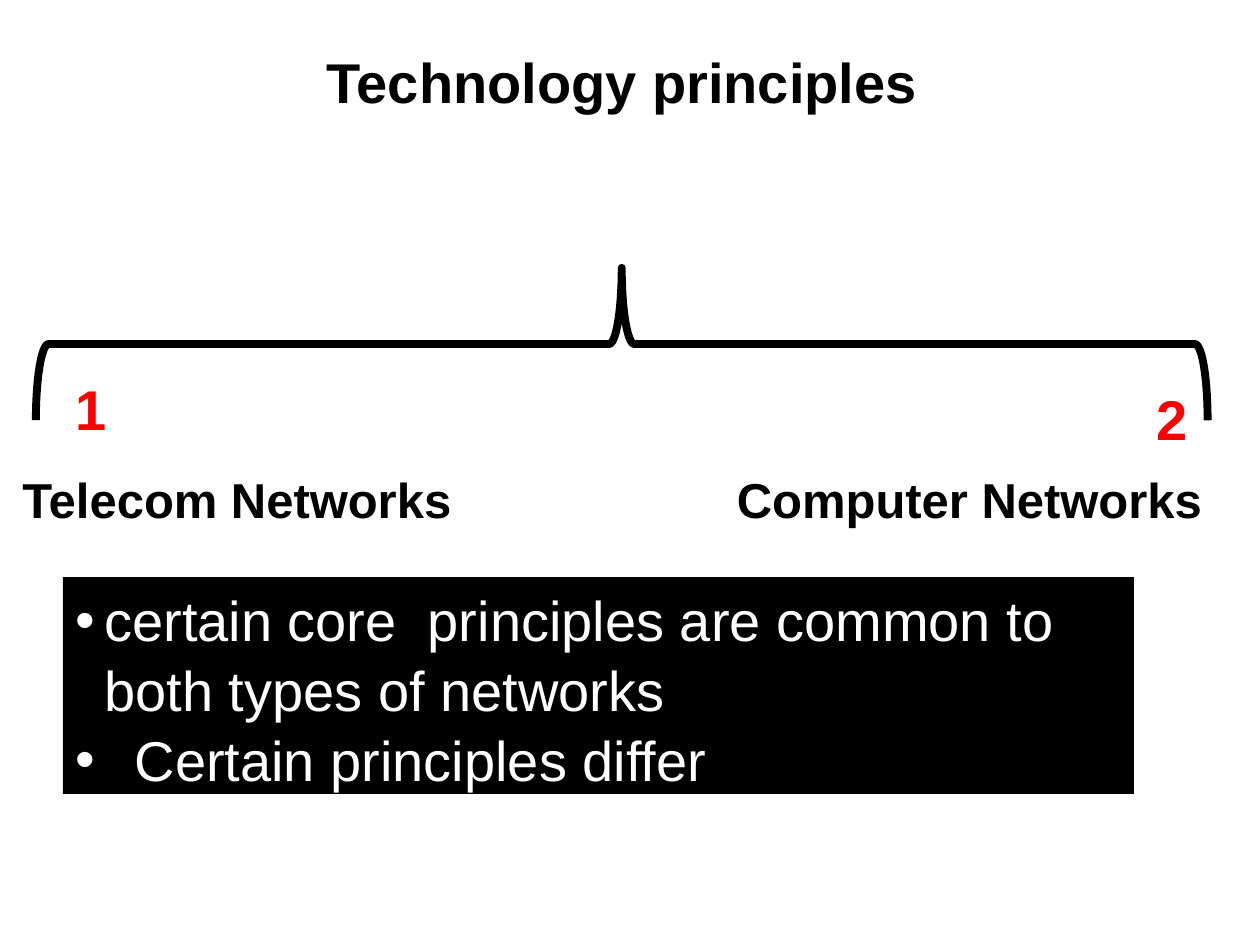
from pptx import Presentation
from pptx.dml.color import RGBColor
from pptx.enum.shapes import MSO_SHAPE
from pptx.enum.text import MSO_ANCHOR, PP_ALIGN
from pptx.oxml.ns import qn
from pptx.util import Inches, Pt
from lxml.etree import SubElement

BLACK = RGBColor(0, 0, 0)
WHITE = RGBColor(255, 255, 255)
RED = RGBColor(255, 0, 0)


def write(paragraph, text, size=32, color=BLACK, bold=True, align=PP_ALIGN.LEFT):
    """Put one formatted run into a paragraph."""
    paragraph.alignment = align
    run = paragraph.add_run()
    run.text = text
    run.font.name = "Arial"
    run.font.size = Pt(size)
    run.font.bold = bold
    run.font.color.rgb = color


def add_bullet(paragraph, indent):
    """Give a paragraph a round bullet and a hanging indent in inches."""
    properties = paragraph._p.get_or_add_pPr()
    properties.set("marL", str(Inches(indent)))
    properties.set("indent", str(-Inches(indent)))
    SubElement(properties, qn("a:buFont"), typeface="Arial")
    SubElement(properties, qn("a:buChar"), char="•")


presentation = Presentation()
presentation.slide_width = Inches(10)
presentation.slide_height = Inches(7.5)
slide = presentation.slides.add_slide(presentation.slide_layouts[6])

# Brace that splits the title into two branches
brace = slide.shapes.add_shape(
    MSO_SHAPE.RIGHT_BRACE, Inches(4.33), Inches(-1.92), Inches(1.21), Inches(9.3))
brace.rotation = 270
brace.adjustments[0] = 0.083
brace.adjustments[1] = 0.5
brace.shadow.inherit = False
brace.fill.background()
brace.line.color.rgb = BLACK
brace.line.width = Pt(4.5)

# Title, branch names and branch numbers
labels = [
    ("Technology principles ", 0, 0.33, 10, 0.64, True, {"align": PP_ALIGN.CENTER}),
    ("Telecom Networks", 0.08, 3.68, 4.58, 0.57, True, {"size": 28}),
    ("Computer Networks", 5.75, 3.68, 4.58, 0.57, True, {"size": 28}),
    ("1", 0.5, 2.92, 0.45, 0.64, False, {"color": RED}),
    ("2", 9.08, 3, 0.45, 0.64, False, {"color": RED}),
]
for text, left, top, width, height, wrap, style in labels:
    box = slide.shapes.add_textbox(
        Inches(left), Inches(top), Inches(width), Inches(height))
    box.text_frame.word_wrap = wrap
    write(box.text_frame.paragraphs[0], text, **style)

# Summary panel
panel = slide.shapes.add_shape(
    MSO_SHAPE.RECTANGLE, Inches(0.5), Inches(4.58), Inches(8.5), Inches(1.72))
panel.shadow.inherit = False
panel.fill.solid()
panel.fill.fore_color.rgb = BLACK
panel.line.fill.background()
frame = panel.text_frame
frame.word_wrap = True
frame.vertical_anchor = MSO_ANCHOR.TOP
points = [
    ("certain core  principles are common to both types of networks", 0.23),
    ("Certain principles differ", 0.47),
]
for index, (text, indent) in enumerate(points):
    paragraph = frame.add_paragraph() if index else frame.paragraphs[0]
    paragraph.line_spacing = 1.04
    write(paragraph, text, color=WHITE, bold=False)
    add_bullet(paragraph, indent)

presentation.save("out.pptx")
